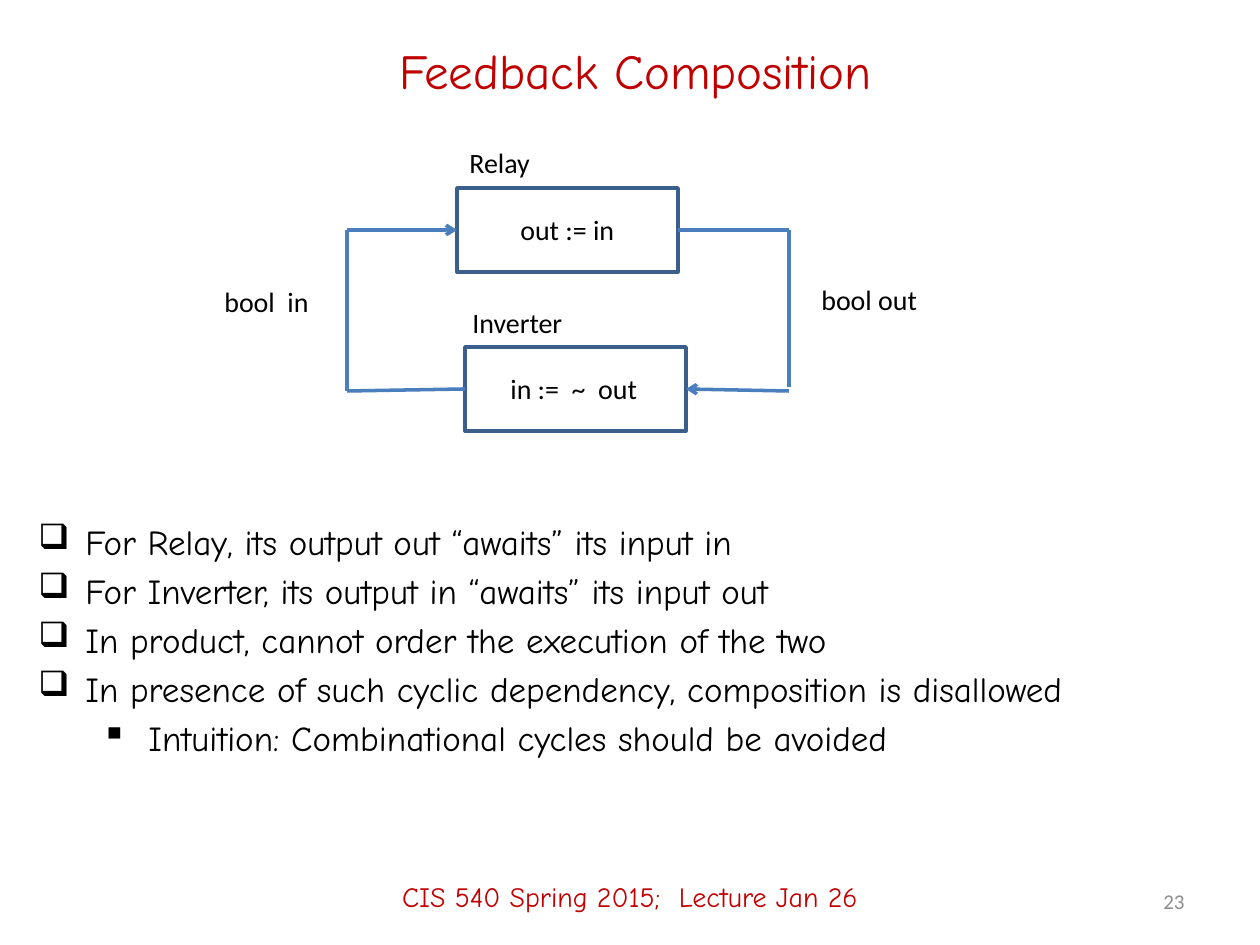
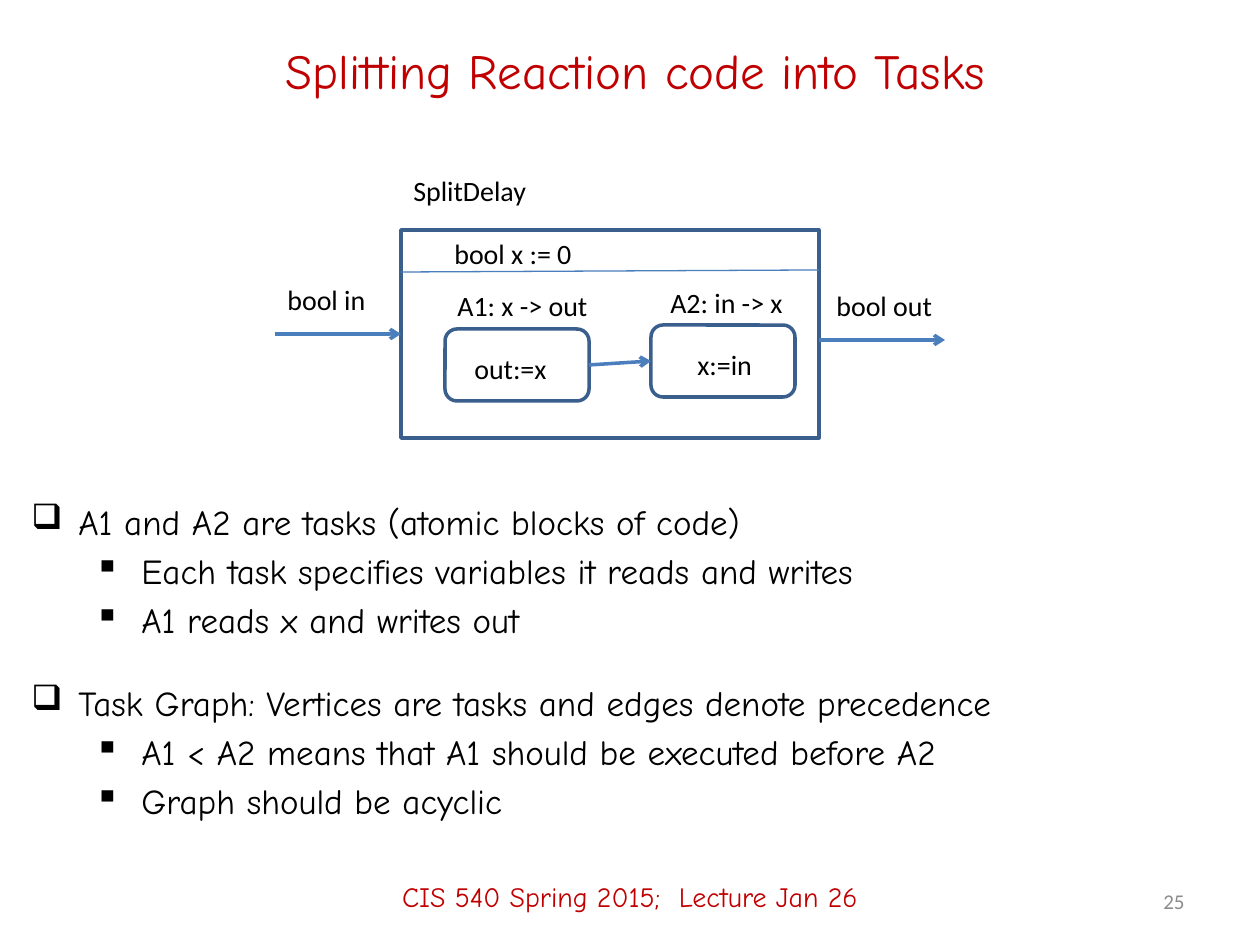
from dataclasses import dataclass

from lxml.etree import SubElement
from pptx import Presentation
from pptx.dml.color import RGBColor as RGB
from pptx.enum.shapes import MSO_CONNECTOR as Conn, MSO_SHAPE as Geo
from pptx.enum.text import MSO_ANCHOR as Anchor, MSO_AUTO_SIZE as Fit, PP_ALIGN as Align
from pptx.oxml.ns import qn
from pptx.util import Emu, Pt

LEFT, RIGHT = 1, 3  # connection sites of a rectangle
ROW = 46            # height of a diagram label


@dataclass(frozen=True)
class Theme:
    red: RGB = RGB(0xC0, 0x00, 0x00)
    ink: RGB = RGB(0x00, 0x00, 0x00)
    gray: RGB = RGB(0x8C, 0x8C, 0x8C)
    edge: RGB = RGB(0x3A, 0x5F, 0x8C)
    wire: RGB = RGB(0x4B, 0x7E, 0xBC)
    hand: str = "Comic Neue"
    sans: str = "Calibri"
    title: int = 28
    body: int = 20
    label: int = 16
    small: int = 12
    gap: int = 4
    stroke: float = 2
    thin: float = 0.75


T = Theme()


@dataclass(frozen=True)
class Area:
    x: int
    y: int
    w: int
    h: int


@dataclass(frozen=True)
class Style:
    size: int
    font: str
    color: RGB
    align: Align = Align.LEFT


@dataclass(frozen=True)
class Label:
    text: str
    x: int
    y: int
    w: int


@dataclass(frozen=True)
class Wire:
    x1: int
    y1: int
    x2: int
    y2: int
    arrow: bool = False
    width: float = T.stroke
    start: tuple | None = None  # (shape, site)
    end: tuple | None = None


@dataclass(frozen=True)
class Item:
    text: str
    level: int = 0


HEAD = Style(T.title, T.hand, T.red, Align.CENTER)
BODY = Style(T.body, T.hand, T.ink)
NOTE = Style(T.label, T.sans, T.ink)
FOOT = Style(T.label, T.hand, T.red, Align.CENTER)
PAGE = Style(T.small, T.sans, T.gray, Align.RIGHT)
MARKS = ("❑", "▪")
INDENT, HANG = (47, 110), 47


def px(n: int) -> Emu:
    return Emu(round(n * 914400 / 126))


def place(area: Area) -> tuple:
    return px(area.x), px(area.y), px(area.w), px(area.h)


# Text
def write(para, text: str, style: Style) -> None:
    para.alignment = style.align
    run = para.add_run()
    run.text = text
    run.font.size = Pt(style.size)
    run.font.name = style.font
    run.font.color.rgb = style.color


def add_text(slide, text: str, area: Area, style: Style):
    frame = slide.shapes.add_textbox(*place(area)).text_frame
    frame.word_wrap = True
    frame.vertical_anchor = Anchor.MIDDLE
    write(frame.paragraphs[0], text, style)
    return frame


def add_labels(slide, labels: list[Label]) -> None:
    for tag in labels:
        frame = add_text(slide, tag.text, Area(tag.x, tag.y, tag.w, ROW), NOTE)
        frame.vertical_anchor = Anchor.TOP
        frame.word_wrap = False
        frame.auto_size = Fit.SHAPE_TO_FIT_TEXT


def add_list(slide, area: Area, items: list[Item]) -> None:
    frame = slide.shapes.add_textbox(*place(area)).text_frame
    frame.word_wrap = True
    for n, item in enumerate(items):
        para = frame.add_paragraph() if n else frame.paragraphs[0]
        para.level = item.level
        if n:
            para.space_before = Pt(T.gap)
        props = para._p.get_or_add_pPr()
        props.set("marL", str(px(INDENT[item.level])))
        props.set("indent", str(-px(HANG)))
        SubElement(props, qn("a:buChar")).set("char", MARKS[item.level])
        write(para, item.text, BODY)


# Diagram parts
def add_block(slide, area: Area, geo: Geo = Geo.RECTANGLE):
    shape = slide.shapes.add_shape(geo, *place(area))
    shape.shadow.inherit = False
    shape.fill.background()
    shape.line.color.rgb = T.edge
    shape.line.width = Pt(T.stroke)
    return shape


def add_wires(slide, wires: list[Wire]) -> None:
    for wire in wires:
        ends = (px(n) for n in (wire.x1, wire.y1, wire.x2, wire.y2))
        line = slide.shapes.add_connector(Conn.STRAIGHT, *ends)
        if wire.start:
            line.begin_connect(*wire.start)
        if wire.end:
            line.end_connect(*wire.end)
        line.line.color.rgb = T.wire
        line.line.width = Pt(wire.width)
        if wire.arrow:
            SubElement(line.line._get_or_add_ln(), qn("a:tailEnd")).set("type", "arrow")
        SubElement(line._element.spPr, qn("a:effectLst"))


# Shared frame of every slide
def add_slide(deck, title: str, page: int):
    slide = deck.slides.add_slide(deck.slide_layouts[6])
    add_text(slide, title, Area(95, 21, 1081, 98), HEAD)
    add_text(slide, "CIS 540 Spring 2015;  Lecture Jan 26", Area(0, 847, 1260, 98), FOOT)
    add_text(slide, str(page), Area(903, 876, 294, 50), PAGE)
    return slide


def add_loop(deck) -> None:
    slide = add_slide(deck, "Feedback Composition", 23)
    relay = add_block(slide, Area(457, 188, 221, 84))
    inv = add_block(slide, Area(465, 347, 221, 84))
    west, east, top, low = 347, 789, 230, 391
    add_wires(slide, [
        Wire(west, top, 457, top, arrow=True, end=(relay, LEFT)),
        Wire(west, top, west, low),
        Wire(west, low, 465, 389, end=(inv, LEFT)),
        Wire(678, top, east, top, start=(relay, RIGHT)),
        Wire(east, top, east, 387),
        Wire(east, low, 686, 389, arrow=True, end=(inv, RIGHT)),
    ])
    add_labels(slide, [
        Label("Relay", 457, 139, 87),
        Label("out := in", 508, 206, 121),
        Label("Inverter", 460, 299, 117),
        Label("in :=  ~  out", 498, 365, 154),
        Label("bool out", 809, 276, 122),
        Label("bool  in", 212, 278, 111),
    ])
    add_list(slide, Area(26, 514, 1207, 284), [
        Item("For Relay, its output out “awaits” its input in"),
        Item("For Inverter, its output in “awaits” its input out"),
        Item("In product, cannot order the execution of the two"),
        Item("In presence of such cyclic dependency, composition is disallowed"),
        Item("Intuition: Combinational cycles should be avoided", 1),
    ])


def add_split(deck) -> None:
    slide = add_slide(deck, "Splitting Reaction code into Tasks", 25)
    frame = add_block(slide, Area(401, 230, 418, 208))
    one = add_block(slide, Area(445, 329, 144, 72), Geo.ROUNDED_RECTANGLE)
    two = add_block(slide, Area(651, 325, 144, 72), Geo.ROUNDED_RECTANGLE)
    add_wires(slide, [
        Wire(275, 334, 401, 334, arrow=True, end=(frame, LEFT)),
        Wire(819, 340, 945, 340, arrow=True),
        Wire(401, 272, 819, 270, width=T.thin),
        Wire(589, 365, 651, 361, arrow=True, start=(one, RIGHT), end=(two, LEFT)),
    ])
    add_labels(slide, [
        Label("SplitDelay", 401, 167, 140),
        Label("bool x := 0", 442, 230, 144),
        Label("bool in", 275, 276, 105),
        Label("bool out", 824, 282, 122),
        Label("A1: x -> out", 445, 282, 157),
        Label("out:=x", 462, 345, 105),
        Label("A2: in -> x", 658, 279, 139),
        Label("x:=in", 685, 341, 87),
    ])
    add_list(slide, Area(19, 494, 1187, 199), [
        Item("A1 and A2 are tasks (atomic blocks of code)"),
        Item("Each task specifies variables it reads and writes", 1),
        Item("A1 reads x and writes out", 1),
    ])
    add_list(slide, Area(19, 675, 1197, 171), [
        Item("Task Graph: Vertices are tasks and edges denote precedence"),
        Item("A1 < A2 means that A1 should be executed before A2", 1),
        Item("Graph should be acyclic", 1),
    ])


def main() -> None:
    deck = Presentation()
    deck.slide_width, deck.slide_height = px(1260), px(945)
    add_loop(deck)
    add_split(deck)
    deck.save("out.pptx")


if __name__ == "__main__":
    main()
